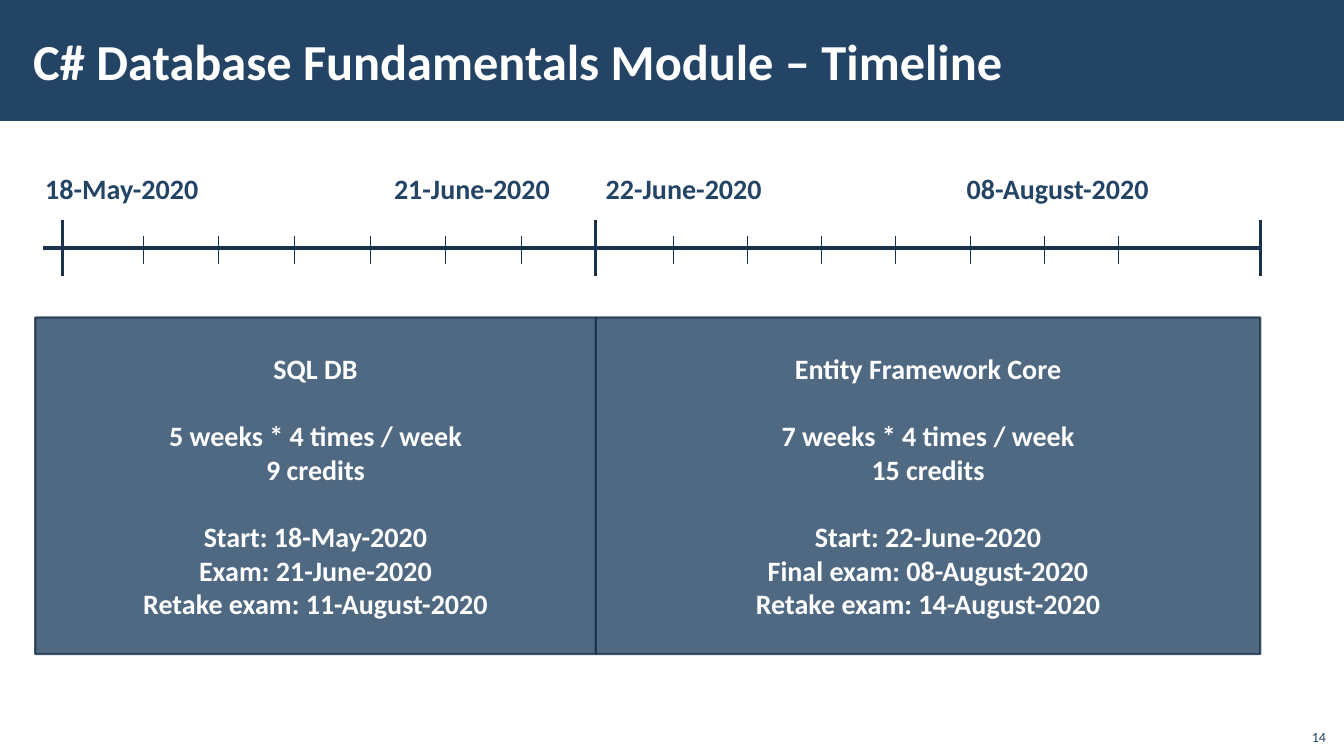
from lxml.etree import SubElement
from pptx import Presentation
from pptx.dml.color import RGBColor
from pptx.enum.shapes import MSO_CONNECTOR, MSO_SHAPE
from pptx.enum.text import MSO_ANCHOR, PP_ALIGN
from pptx.oxml.ns import qn
from pptx.util import Inches, Pt

COLORS = {"navy": "234465", "dark": "1A334C", "white": "FFFFFF"}
FONT = "Calibri"
TITLE = "C# Database Fundamentals Module – Timeline"
PAGE = "14"
DATES = [
    ("18-May-2020", 0.35, 1.74),
    ("21-June-2020", 3.81, 1.76),
    ("22-June-2020", 5.91, 1.76),
    ("08-August-2020", 9.49, 2.04),
]
COURSES = [
    (0.35, 5.91, [
        ["SQL DB"],
        ["5 weeks * 4 times / week", "9 credits"],
        ["Start: 18-May-2020", "Exam: 21-June-2020",
         "Retake exam: 11-August-2020"],
    ]),
    (5.91, 12.5, [
        ["Entity Framework Core"],
        ["7 weeks * 4 times / week", "15 credits"],
        ["Start: 22-June-2020", "Final exam: 08-August-2020",
         "Retake exam: 14-August-2020"],
    ]),
]
AXIS_Y = 2.46
MILESTONES = [0.62, 5.91, 12.5]
WEEKS = [(1.42, 0.75, 6), (6.68, 0.735, 7)]


def rgb(name):
    return RGBColor.from_string(COLORS[name])


def add_run(p, text, size, color, bold=True):
    r = p.add_run()
    r.text = text
    r.font.name = FONT
    r.font.size = Pt(size)
    r.font.bold = bold
    r.font.color.rgb = rgb(color)


def add_text(s, text, box, size, color, bold=True, wrap=True,
             anchor=MSO_ANCHOR.TOP, align=PP_ALIGN.LEFT, inset=0.1):
    tf = s.shapes.add_textbox(*map(Inches, box)).text_frame
    tf.word_wrap = wrap
    tf.vertical_anchor = anchor
    tf.margin_left = tf.margin_right = Inches(inset)
    p = tf.paragraphs[0]
    p.alignment = align
    add_run(p, text, size, color, bold)


def add_rect(s, box):
    sp = s.shapes.add_shape(MSO_SHAPE.RECTANGLE, *map(Inches, box))
    sp.shadow.inherit = False
    sp.fill.solid()
    sp.fill.fore_color.rgb = rgb("navy")
    return sp


def add_line(s, x1, y1, x2, y2, width):
    line = s.shapes.add_connector(
        MSO_CONNECTOR.STRAIGHT, *map(Inches, (x1, y1, x2, y2)))
    line.line.color.rgb = rgb("dark")
    line.line.width = Pt(width)
    SubElement(line._element.spPr, qn("a:effectLst"))


def add_course(s, left, right, groups):
    sp = add_rect(s, (left, 3.15, right - left, 3.34))
    sp.line.color.rgb = rgb("dark")
    sp.line.width = Pt(1.5)
    for color in sp._element.spPr.iter(qn("a:srgbClr")):
        SubElement(color, qn("a:alpha")).set("val", "80000")
    tf = sp.text_frame
    tf.word_wrap = True
    tf.vertical_anchor = MSO_ANCHOR.MIDDLE
    p = tf.paragraphs[0]
    for g, group in enumerate(groups):
        for i, text in enumerate(group):
            if g or i:
                p = tf.add_paragraph()
            if g and i == 0:
                p.space_before = Pt(24)
            p.alignment = PP_ALIGN.CENTER
            add_run(p, text, 20, "white")


def main():
    prs = Presentation()
    prs.slide_width, prs.slide_height = Inches(13.33), Inches(7.5)
    s = prs.slides.add_slide(prs.slide_layouts[6])

    add_rect(s, (0, 0, 13.33, 1.2)).line.fill.background()
    add_text(s, TITLE, (0.21, 0.11, 10.63, 0.97), 36, "white",
             anchor=MSO_ANCHOR.MIDDLE, inset=0.12)
    for text, left, width in DATES:
        add_text(s, text, (left, 1.65, width, 0.44), 20, "navy", wrap=False)
    for course in COURSES:
        add_course(s, *course)

    add_line(s, 0.43, AXIS_Y, 12.5, AXIS_Y, 2.25)
    weeks = [start + i * step for start, step, n in WEEKS for i in range(n)]
    for ticks, top, bottom, width in ((MILESTONES, 2.18, 2.74, 2.25),
                                      (weeks, 2.34, 2.62, 0.5)):
        for x in ticks:
            add_line(s, x, top, x, bottom, width)

    add_text(s, PAGE, (12.85, 7.12, 0.4, 0.32), 10, "navy", bold=False,
             anchor=MSO_ANCHOR.BOTTOM, align=PP_ALIGN.RIGHT)
    prs.save("out.pptx")


if __name__ == "__main__":
    main()
